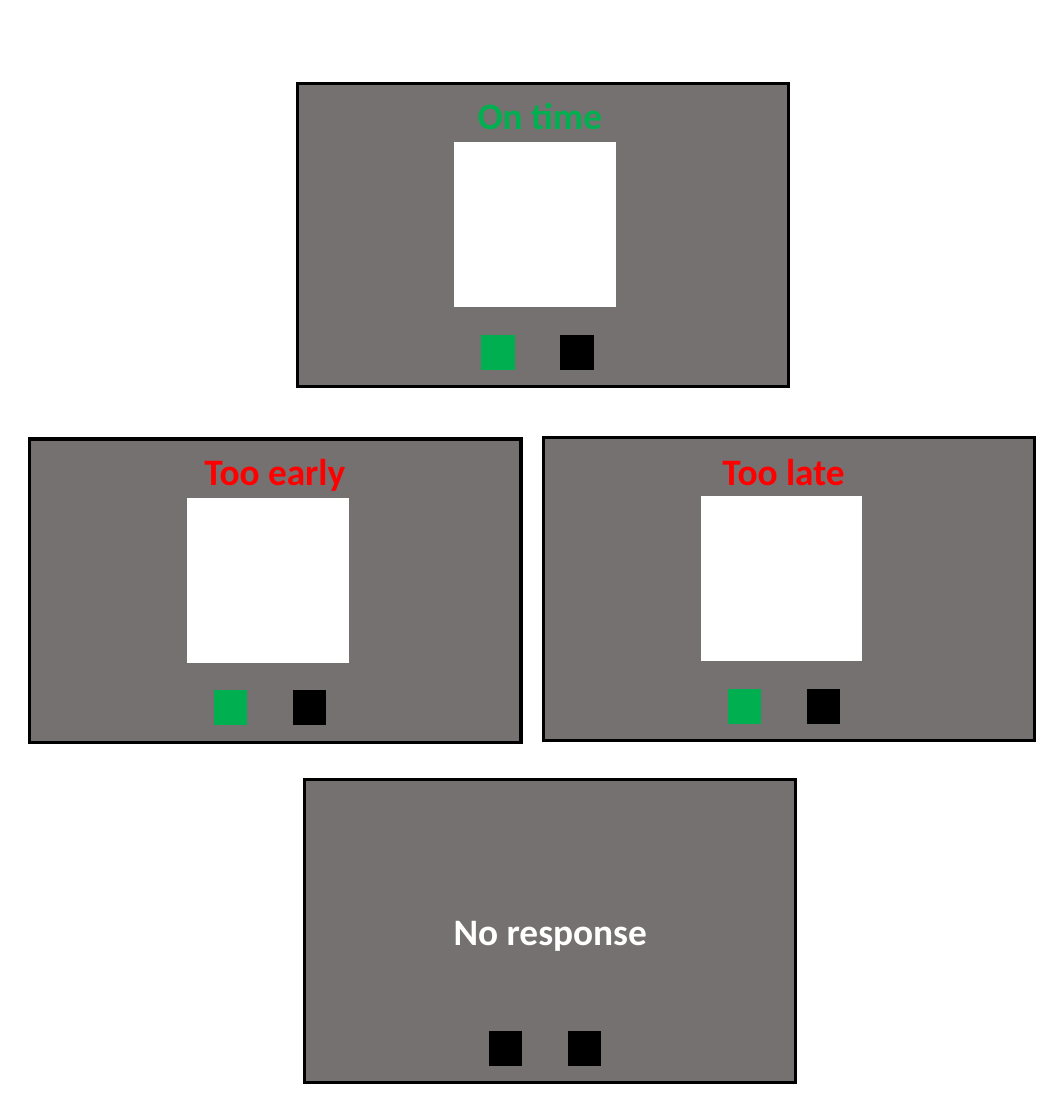
from lxml.etree import SubElement
from pptx import Presentation
from pptx.dml.color import RGBColor
from pptx.enum.shapes import MSO_SHAPE
from pptx.enum.text import MSO_AUTO_SIZE
from pptx.oxml.ns import qn
from pptx.util import Inches, Pt

GREY, BLACK, WHITE = "767171", "000000", "FFFFFF"
GREEN, RED = "00B050", "FF0000"
CM_PER_INCH = 2.54


def rgb(value):
    return RGBColor.from_string(value)


def write(tf, text, font="Calibri", size=18, color=BLACK, bold=False):
    p = tf.paragraphs[0]
    r = p.add_run()
    r.text = text
    r.font.name = font
    r.font.size = Pt(size)
    r.font.bold = bold
    r.font.color.rgb = rgb(color)


class FeedbackSlide:
    def __init__(self, prs):
        self.font = "Calibri"
        self.s = prs.slides.add_slide(prs.slide_layouts[6])

    def rect(self, group, x, y, w, h, fill, line, weight=1):
        sp = group.shapes.add_shape(
            MSO_SHAPE.RECTANGLE, Inches(x), Inches(y), Inches(w), Inches(h))
        sp.shadow.inherit = False
        sp.fill.solid()
        sp.fill.fore_color.rgb = rgb(fill)
        sp.line.color.rgb = rgb(line)
        sp.line.width = Pt(weight)
        ln = sp.element.spPr.find(qn("a:ln"))
        SubElement(ln, qn("a:miter")).set("lim", "800000")

    def label(self, group, x, y, w, text, color):
        sp = group.shapes.add_textbox(Inches(x), Inches(y), Inches(w), Inches(0.4))
        tf = sp.text_frame
        tf.word_wrap = False
        tf.auto_size = MSO_AUTO_SIZE.SHAPE_TO_FIT_TEXT
        write(tf, text, font=self.font, color=color, bold=True)

    def screen(self, x, y, text, color, dx, dy, width, responded=True):
        group = self.s.shapes.add_group_shape()
        self.rect(group, x, y, 3.29, 2.03, GREY, BLACK, weight=1.5)
        keys = (GREEN if responded else BLACK, BLACK)
        for i, key in enumerate(keys):
            self.rect(group, x + 1.24 + i * 0.53, y + 1.69, 0.21, 0.22, key, key)
        if responded:
            self.rect(group, x + 1.06, y + 0.4, 1.07, 1.09, WHITE, WHITE)
        self.label(group, x + dx, y + dy, width, text, color)


def main():
    prs = Presentation()
    prs.slide_width, prs.slide_height = Inches(18 / CM_PER_INCH), Inches(7.5)
    slide = FeedbackSlide(prs)
    slide.screen(1.99, 0.56, "On time", GREEN, 1.11, 0.01, 1.05)
    slide.screen(0.2, 2.94, "Too early", RED, 1.07, 0.01, 1.15)
    slide.screen(3.64, 2.93, "Too late", RED, 1.1, 0.02, 1.03)
    slide.screen(2.04, 5.22, "No response", WHITE, 0.9, 0.81, 1.51, responded=False)
    prs.save("out.pptx")


if __name__ == "__main__":
    main()
